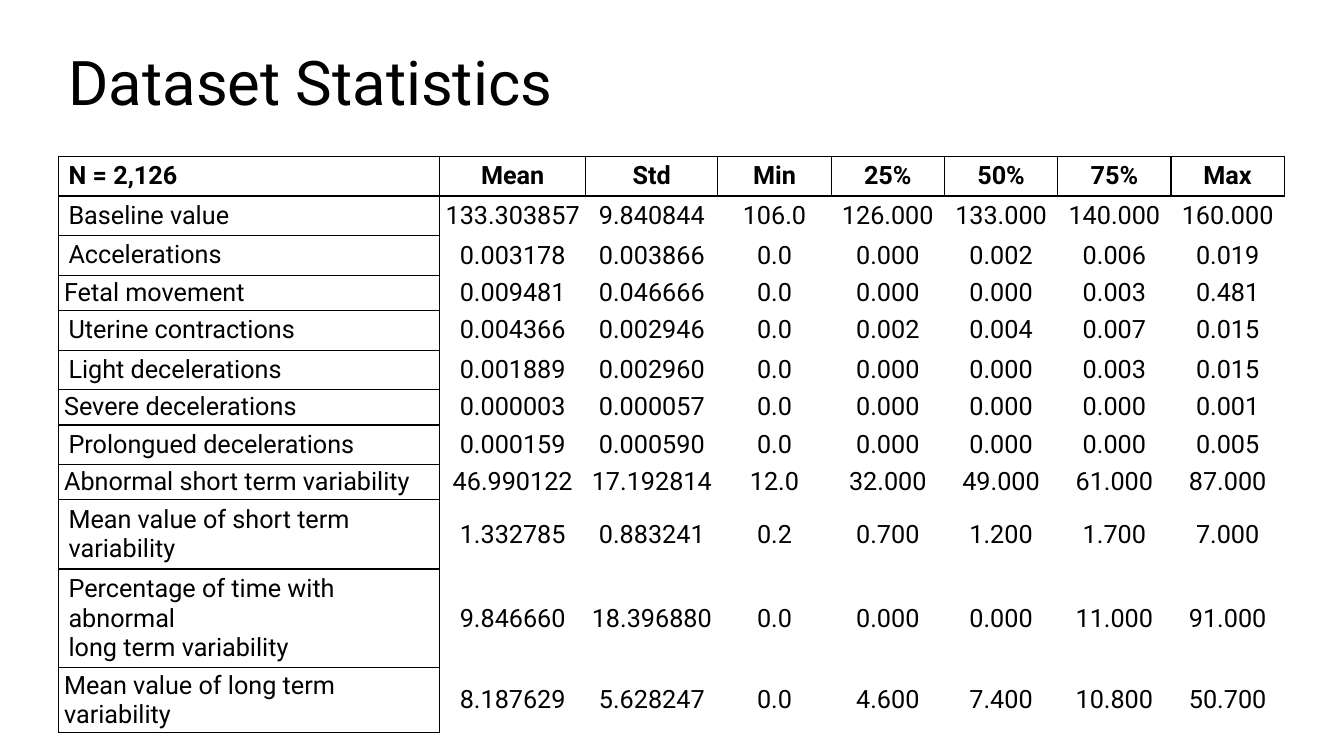
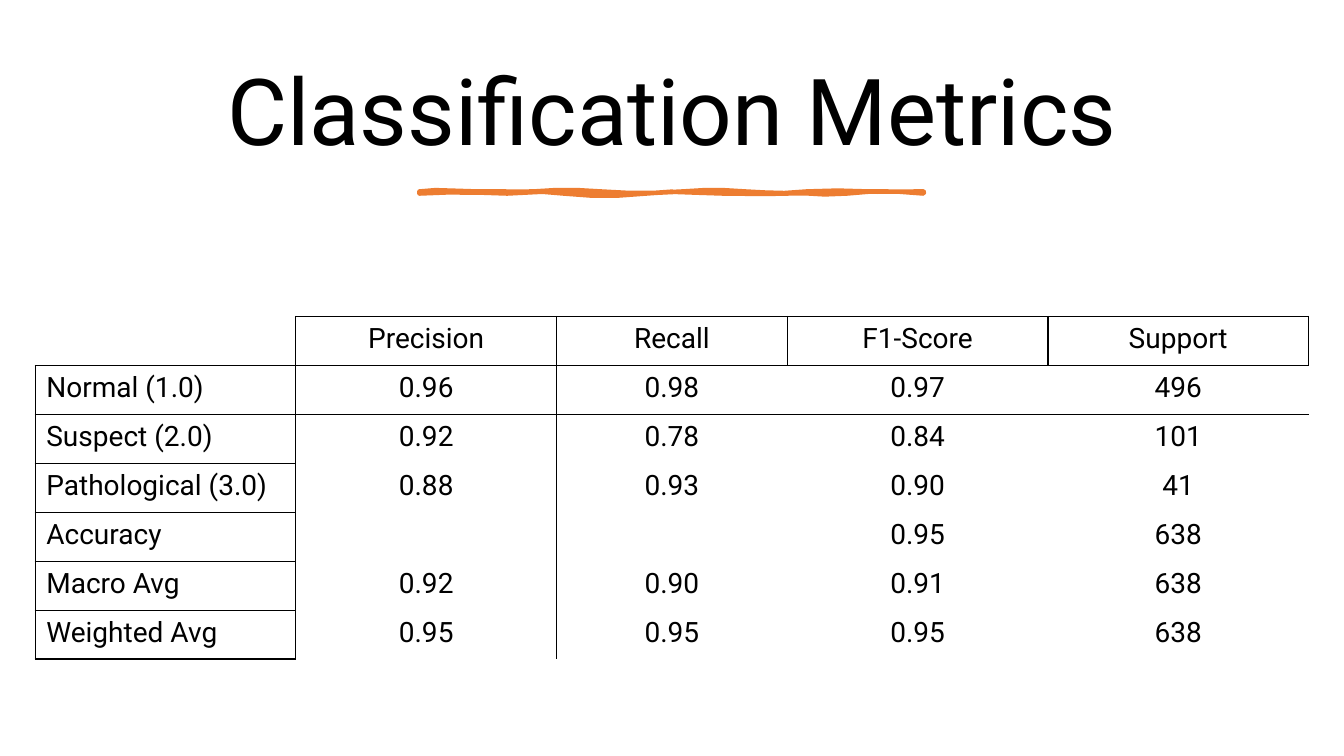
"""Build two slides of result tables: dataset statistics and classification metrics."""
from lxml import etree
from pptx import Presentation
from pptx.dml.color import RGBColor
from pptx.enum.text import MSO_ANCHOR as Anchor, MSO_AUTO_SIZE as AutoSize, PP_ALIGN as Align
from pptx.oxml import parse_xml
from pptx.oxml.ns import nsdecls, qn
from pptx.util import Inches, Pt

COLORS = {"ink": "000000", "accent": "ED7D31"}
FONT = "Roboto"
PLAIN_TABLE = "{2D5ABB26-0587-4C30-8999-92F81FD0307C}"
TIGHT_INSET = (4 / 72, 2 / 72)
CURVE_STEPS = 3

STATISTICS = [
    ["N = 2,126", "Mean", "Std", "Min", "25%", "50%", "75%", "Max"],
    ["Baseline value", "133.303857", "9.840844", "106.0", "126.000", "133.000", "140.000", "160.000"],
    ["Accelerations", "0.003178", "0.003866", "0.0", "0.000", "0.002", "0.006", "0.019"],
    ["Fetal movement", "0.009481", "0.046666", "0.0", "0.000", "0.000", "0.003", "0.481"],
    ["Uterine contractions", "0.004366", "0.002946", "0.0", "0.002", "0.004", "0.007", "0.015"],
    ["Light decelerations", "0.001889", "0.002960", "0.0", "0.000", "0.000", "0.003", "0.015"],
    ["Severe decelerations", "0.000003", "0.000057", "0.0", "0.000", "0.000", "0.000", "0.001"],
    ["Prolongued decelerations", "0.000159", "0.000590", "0.0", "0.000", "0.000", "0.000", "0.005"],
    ["Abnormal short term variability", "46.990122", "17.192814", "12.0", "32.000", "49.000", "61.000", "87.000"],
    ["Mean value of short term variability", "1.332785", "0.883241", "0.2", "0.700", "1.200", "1.700", "7.000"],
    ["Percentage of time with abnormal\nlong term variability",
     "9.846660", "18.396880", "0.0", "0.000", "0.000", "11.000", "91.000"],
    ["Mean value of long term variability", "8.187629", "5.628247", "0.0", "4.600", "7.400", "10.800", "50.700"],
]

METRICS = [
    ["", "Precision", "Recall", "F1-Score", "Support"],
    ["Normal (1.0)", "0.96", "0.98", "0.97", "496"],
    ["Suspect (2.0)", "0.92", "0.78", "0.84", "101"],
    ["Pathological (3.0)", "0.88", "0.93", "0.90", "41"],
    ["Accuracy", "", "", "0.95", "638"],
    ["Macro Avg", "0.92", "0.90", "0.91", "638"],
    ["Weighted Avg", "0.95", "0.95", "0.95", "638"],
]

STATISTIC_WIDTH = (12.16 - 3.78 - 1.45 - 1.31) / 5
METRIC_WIDTH = (12.63 - 2.29) / 4

PAGES = [
    {"title": "Dataset Statistics", "title_box": (0.58, 0.42, 11.5, 0.85),
     "title_size": 44, "title_align": Align.LEFT,
     "rows": STATISTICS, "origin": (0.58, 1.55), "row_height": 0.32,
     "widths": [3.78, 1.45, 1.31] + [STATISTIC_WIDTH] * 5, "size": 18, "bold_header": True,
     "inset": (0.1, 0.05), "tight_values": True, "tight_rows": (3, 6, 8, 11),
     "clear_edges": True},
    {"title": "Classification Metrics", "title_box": (0.7, 0.46, 11.93, 1.37),
     "title_size": 66, "title_align": Align.CENTER,
     "rows": METRICS, "origin": (0.35, 3.14), "row_height": 3.4 / len(METRICS),
     "widths": [METRIC_WIDTH, METRIC_WIDTH, 2.29, METRIC_WIDTH, METRIC_WIDTH],
     "size": 20, "bold_header": False,
     "inset": (0.11, 0.06), "tight_values": False, "tight_rows": (),
     "clear_edges": False},
]

BRUSH_START = (4.16, 1.9)
BRUSH_CURVES = [
    (4.28, 1.87, 4.54, 1.9, 4.73, 1.9), (4.92, 1.89, 5.09, 1.91, 5.29, 1.9),
    (5.49, 1.88, 5.74, 1.88, 5.96, 1.9), (6.17, 1.92, 6.53, 1.92, 6.77, 1.9),
    (7.02, 1.88, 7.14, 1.88, 7.39, 1.9), (7.63, 1.91, 7.74, 1.93, 8, 1.9),
    (8.26, 1.87, 8.67, 1.92, 9.16, 1.9), (9.17, 1.91, 9.16, 1.91, 9.16, 1.92),
    (8.95, 1.9, 8.65, 1.88, 8.4, 1.92), (8.15, 1.95, 8.01, 1.9, 7.79, 1.92),
    (7.56, 1.93, 7.47, 1.92, 7.17, 1.92), (6.87, 1.92, 6.67, 1.88, 6.41, 1.92),
    (6.14, 1.95, 5.85, 1.95, 5.59, 1.92), (5.34, 1.88, 5.23, 1.92, 5.03, 1.92),
    (4.83, 1.91, 4.38, 1.9, 4.16, 1.92),
]


def style_text(para, align, size, bold=False):
    """Set alignment and font of a paragraph."""
    para.alignment = align
    for name, value in {"name": FONT, "size": Pt(size), "bold": bold}.items():
        setattr(para.font, name, value)
    para.font.color.rgb = RGBColor.from_string(COLORS["ink"])


def trace_curves(start, curves):
    """Return points along a chain of cubic curves."""
    points = []
    for curve in curves:
        knots = [start, curve[0:2], curve[2:4], curve[4:6]]
        for step in range(1, CURVE_STEPS + 1):
            t = step / CURVE_STEPS
            weights = ((1 - t) ** 3, 3 * t * (1 - t) ** 2, 3 * t * t * (1 - t), t ** 3)
            points.append(tuple(Inches(sum(w * knot[axis] for w, knot in zip(weights, knots)))
                                for axis in (0, 1)))
        start = knots[-1]
    return points


deck = Presentation()
deck.slide_width, deck.slide_height = Inches(13.33), Inches(7.5)

for page in PAGES:
    slide = deck.slides.add_slide(deck.slide_layouts[5])
    title = slide.shapes.title
    for name, value in zip(("left", "top", "width", "height"), page["title_box"]):
        setattr(title, name, Inches(value))
    frame = title.text_frame
    frame.text = page["title"]
    for name, value in {"auto_size": AutoSize.NONE, "word_wrap": True,
                        "vertical_anchor": Anchor.MIDDLE}.items():
        setattr(frame, name, value)
    frame.paragraphs[0].line_spacing = 0.9
    style_text(frame.paragraphs[0], page["title_align"], page["title_size"])

    rows, widths = page["rows"], page["widths"]
    left, top = page["origin"]
    table = slide.shapes.add_table(
        len(rows), len(widths), Inches(left), Inches(top),
        Inches(sum(widths)), Inches(page["row_height"] * len(rows))).table
    table.first_row = table.horz_banding = False
    table._tbl.tblPr.find(qn("a:tableStyleId")).text = PLAIN_TABLE
    for column, width in zip(table.columns, widths):
        column.width = Inches(width)

    for r, row in enumerate(rows):
        table.rows[r].height = Inches(page["row_height"])
        for c, text in enumerate(row):
            cell = table.cell(r, c)
            cell.text = text
            for para in cell.text_frame.paragraphs:
                style_text(para, Align.CENTER if c else Align.LEFT, page["size"],
                           page["bold_header"] and r == 0)

            tight = r in page["tight_rows"] or (c > 0 and page["tight_values"])
            inset_x, inset_y = TIGHT_INSET if tight else page["inset"]
            for name, value in {"margin_left": inset_x, "margin_right": inset_x,
                                "margin_top": inset_y, "margin_bottom": inset_y}.items():
                setattr(cell, name, Inches(value))
            cell.vertical_anchor = Anchor.MIDDLE if tight else Anchor.TOP

            header = r == 0 or c == 0
            blank_corner = r == c == 0 and not text
            edges = {"L": not blank_corner and (header or c == 1),
                     "R": header,
                     "T": not blank_corner and (header or r == 1),
                     "B": header}
            properties = cell._tc.get_or_add_tcPr()
            for side, drawn in edges.items():
                if not drawn and not page["clear_edges"]:
                    continue
                edge = parse_xml(f'<a:ln{side} {nsdecls("a")} w="{Pt(1)}"/>')
                fill = etree.SubElement(edge, qn("a:solidFill" if drawn else "a:noFill"))
                if drawn:
                    etree.SubElement(fill, qn("a:srgbClr"), val=COLORS["ink"])
                properties.append(edge)
            cell.fill.background()

builder = slide.shapes.build_freeform(*map(Inches, BRUSH_START), scale=1.0)
builder.add_line_segments(trace_curves(BRUSH_START, BRUSH_CURVES), close=True)
brush = builder.convert_to_shape()
brush.shadow.inherit = False
brush.fill.solid()
for paint in (brush.fill.fore_color, brush.line.color):
    paint.rgb = RGBColor.from_string(COLORS["accent"])
brush.line.width = Pt(3.25)

deck.save("out.pptx")
